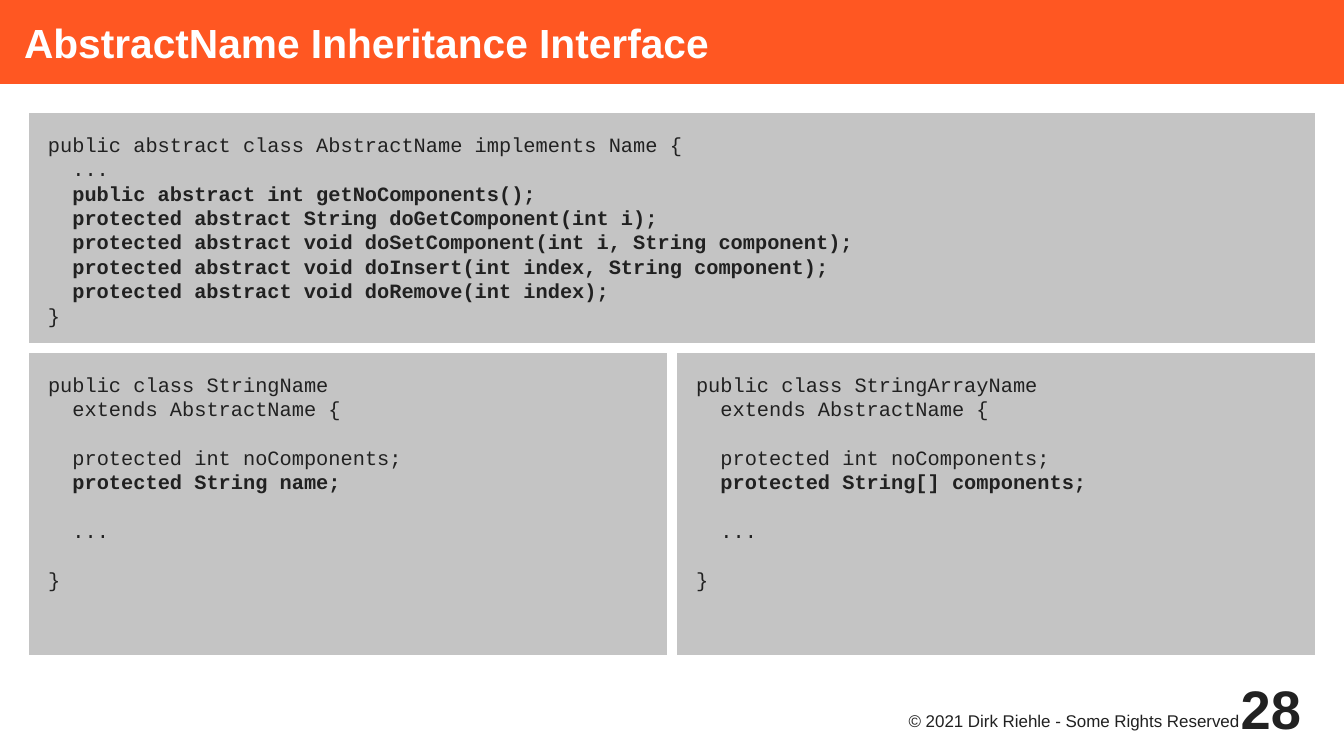
from pptx import Presentation
from pptx.dml.color import RGBColor
from pptx.enum.shapes import MSO_SHAPE
from pptx.enum.text import MSO_ANCHOR, MSO_AUTO_SIZE, PP_ALIGN
from pptx.util import Pt

RECTANGLE = MSO_SHAPE.RECTANGLE
TOP, MIDDLE = MSO_ANCHOR.TOP, MSO_ANCHOR.MIDDLE
LEFT, RIGHT = PP_ALIGN.LEFT, PP_ALIGN.RIGHT
NO_AUTOFIT = MSO_AUTO_SIZE.NONE

EMU_PER_PX = 7495
SLIDE_WIDTH, SLIDE_HEIGHT = 1344, 756
MARGIN = 24
CODE_LINE = Pt(14.4)
ORANGE, GREY, WHITE, INK = "FF5722", "C4C4C4", "FFFFFF", "212121"

ABSTRACT_NAME = """public abstract class AbstractName implements Name {
  ...
  public abstract int getNoComponents();
  protected abstract String doGetComponent(int i);
  protected abstract void doSetComponent(int i, String component);
  protected abstract void doInsert(int index, String component);
  protected abstract void doRemove(int index);
}"""

SUBCLASS = """public class {name}
  extends AbstractName {{

  protected int noComponents;
  protected {field};

  ...

}}"""


def px(length):
    return length * EMU_PER_PX


def color(hex_string):
    return RGBColor.from_string(hex_string)


def place(shape, box):
    shape.left, shape.top, shape.width, shape.height = map(px, box)


def set_frame(frame, insets, anchor=TOP):
    frame.word_wrap = True
    frame.auto_size = NO_AUTOFIT
    frame.vertical_anchor = anchor
    (frame.margin_left, frame.margin_top,
     frame.margin_right, frame.margin_bottom) = map(px, insets)


def style(paragraph, face, size, ink, bold=False, align=LEFT):
    paragraph.alignment = align
    for run in paragraph.runs:
        run.font.name = face
        run.font.size = Pt(size)
        run.font.bold = bold
        run.font.color.rgb = color(ink)


def add_title(slide, box, text):
    title = slide.shapes.title
    place(title, box)
    title.fill.solid()
    title.fill.fore_color.rgb = color(ORANGE)
    set_frame(title.text_frame, (MARGIN, 0, 0, 0), MIDDLE)
    title.text_frame.text = text
    style(title.text_frame.paragraphs[0], "Arial", 24, WHITE, bold=True)


def add_code(slide, box, code, bold_lines):
    """Draw a code panel; an empty code line becomes space before the next one."""
    panel = slide.shapes.add_shape(RECTANGLE, *map(px, box))
    panel.shadow.inherit = False
    panel.fill.solid()
    panel.fill.fore_color.rgb = color(GREY)
    panel.line.color.rgb = color(WHITE)
    panel.line.width = Pt(5.67)
    frame = panel.text_frame
    set_frame(frame, (MARGIN, MARGIN, 5, 5))
    lines = code.split("\n")
    frame.text = "\n".join(filter(None, lines))
    paragraphs = iter(frame.paragraphs)
    for number, line in enumerate(lines):
        if not line:
            continue
        paragraph = next(paragraphs)
        paragraph.line_spacing = CODE_LINE
        if number and not lines[number - 1]:
            paragraph.space_before = CODE_LINE
        style(paragraph, "Courier New", 12, INK, bold=number in bold_lines)


def add_footer_text(slide, box, text, size, insets, anchor=TOP, bold=False):
    frame = slide.shapes.add_textbox(*map(px, box)).text_frame
    set_frame(frame, insets, anchor)
    frame.text = text
    style(frame.paragraphs[0], "Arial", size, INK, bold, RIGHT)


def add_class_panels(slide, box):
    """Put the abstract class above its two subclasses, side by side."""
    left, top, width, height = box
    upper = 240
    half = width // 2
    add_code(slide, (left, top, width, upper), ABSTRACT_NAME, range(2, 7))
    subclasses = [("StringName", "String name"),
                  ("StringArrayName", "String[] components")]
    for column, (name, field) in enumerate(subclasses):
        add_code(slide, (left + column * half, top + upper, half, height - upper),
                 SUBCLASS.format(name=name, field=field), [4])


def add_footer(slide, box):
    left, top, width, height = box
    number_width = 96
    add_footer_text(slide, (left, top + 37, width - number_width + 24, height - 37),
                    "© 2021 Dirk Riehle - Some Rights Reserved", 10, (0, 2, 10, 0))
    add_footer_text(slide, (left + width - number_width - 20, top, number_width, height),
                    "28", 32, (0, 0, 0, 0), MIDDLE, bold=True)


def main():
    deck = Presentation()
    deck.slide_width, deck.slide_height = px(SLIDE_WIDTH), px(SLIDE_HEIGHT)
    slide = deck.slides.add_slide(deck.slide_layouts[5])
    add_title(slide, (0, 0, SLIDE_WIDTH, 84), "AbstractName Inheritance Interface")
    add_class_panels(slide, (MARGIN, 108, SLIDE_WIDTH - 2 * MARGIN, 552))
    add_footer(slide, (865, 672, 456, 72))
    deck.save("out.pptx")


if __name__ == "__main__":
    main()
